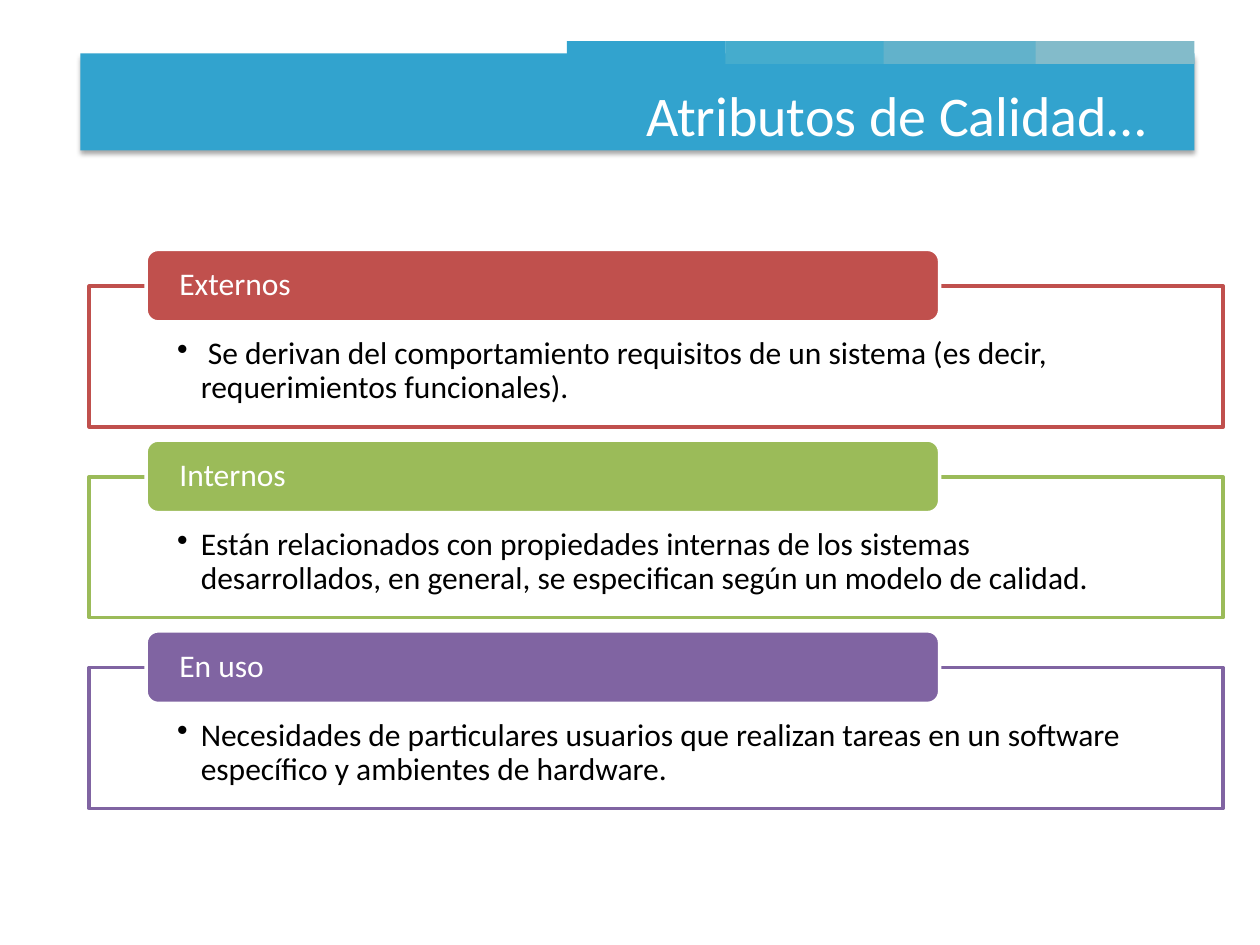
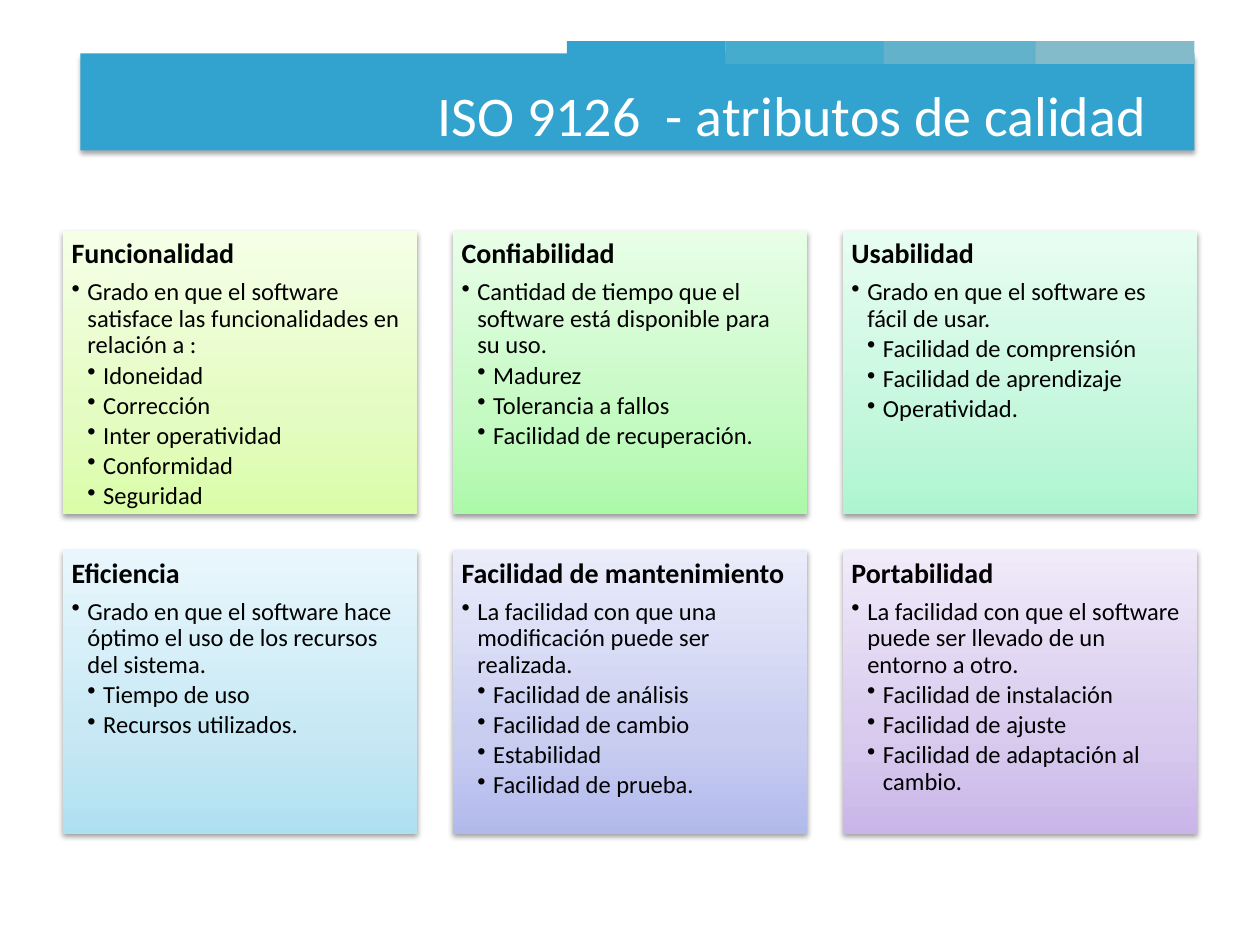
"""Build two slides on software quality attributes."""
import copy
from dataclasses import dataclass
from typing import Optional

import lxml.etree
import pptx
import pptx.dml.color
import pptx.enum.shapes
import pptx.enum.text
import pptx.oxml.ns
import pptx.shapes.autoshape
import pptx.slide
import pptx.text.text
import pptx.util

Pt = pptx.util.Pt
RGB = pptx.dml.color.RGBColor
Shape = pptx.shapes.autoshape.Shape
Slide = pptx.slide.Slide
Kind = pptx.enum.shapes.MSO_SHAPE
Align = pptx.enum.text.PP_ALIGN
Anchor = pptx.enum.text.MSO_ANCHOR
qn = pptx.oxml.ns.qn

FONT = "Calibri"
WHITE = RGB(0xFF, 0xFF, 0xFF)
BLACK = RGB(0x00, 0x00, 0x00)
BLUE = RGB(0x32, 0xA3, 0xCE)
RED = RGB(0xC0, 0x50, 0x4D)
GREEN = RGB(0x9B, 0xBB, 0x59)
PURPLE = RGB(0x80, 0x64, 0xA2)
TABS = (
    (324, BLUE),
    (414.5, RGB(0x45, 0xAC, 0xCD)),
    (505, RGB(0x62, 0xB2, 0xCB)),
    (591.8, RGB(0x83, 0xBB, 0xCA)),
)
LIME = (RGB(0xDA, 0xFD, 0xA7), RGB(0xE4, 0xFC, 0xC2), RGB(0xF5, 0xFF, 0xE7))
LEAF = (RGB(0xAC, 0xF9, 0xAA), RGB(0xC5, 0xFA, 0xC3), RGB(0xE8, 0xFE, 0xE7))
MINT = (RGB(0xAC, 0xF5, 0xD0), RGB(0xC5, 0xF7, 0xDD), RGB(0xE8, 0xFD, 0xF2))
SKY = (RGB(0xAF, 0xE0, 0xF1), RGB(0xC7, 0xE8, 0xF4), RGB(0xE9, 0xF7, 0xFC))
IRIS = (RGB(0xB2, 0xBA, 0xEC), RGB(0xC9, 0xCE, 0xF1), RGB(0xEA, 0xEC, 0xFA))
LILAC = (RGB(0xC9, 0xB5, 0xE8), RGB(0xD8, 0xCB, 0xEE), RGB(0xF0, 0xEA, 0xF9))
STOPS = (0, 0.35, 1)


@dataclass(frozen=True)
class Box:
    """A place on the slide, in points."""

    left: float
    top: float
    width: float
    height: float


@dataclass(frozen=True)
class Style:
    """The look of a paragraph, with lengths in points."""

    size: float
    color: RGB = BLACK
    bold: bool = False
    after: float = 0
    line: float = 0.9
    left: float = 0
    hang: float = 0
    level: int = 0
    align: Align = Align.LEFT


@dataclass(frozen=True)
class Panel:
    """A framed statement under a coloured bar."""

    name: str
    text: str
    color: RGB


@dataclass(frozen=True)
class Card:
    """A quality attribute with its measures."""

    name: str
    text: str
    items: tuple[str, ...]
    shades: tuple[RGB, RGB, RGB]


TITLE = Style(32, WHITE, line=1, align=Align.RIGHT)
LABEL = Style(18, WHITE)
CLAIM = Style(18, left=13.5, hang=13.5, level=1)
HEAD = Style(16, bold=True, after=5.6)
BODY = Style(14, after=2.1, left=9, hang=9, level=1)
ITEM = Style(14, after=2.1, left=18, hang=9, level=2)

PANELS = (
    Panel("Externos", " Se derivan del comportamiento requisitos de un sistema "
          "(es decir, requerimientos funcionales).", RED),
    Panel("Internos", "Están relacionados con propiedades internas de los sistemas "
          "desarrollados, en general, se especifican según un modelo de calidad.", GREEN),
    Panel("En uso", "Necesidades de particulares usuarios que realizan tareas en un "
          "software específico y ambientes de hardware.", PURPLE),
)
CARDS = (
    Card("Funcionalidad",
         "Grado en que el software satisface las funcionalidades en relación a :",
         ("Idoneidad", "Corrección", "Inter operatividad", "Conformidad", "Seguridad"),
         LIME),
    Card("Confiabilidad",
         "Cantidad de tiempo que el software está disponible para su uso.",
         ("Madurez", "Tolerancia a fallos", "Facilidad de recuperación."), LEAF),
    Card("Usabilidad", "Grado en que el software es fácil de usar.",
         ("Facilidad de comprensión", "Facilidad de aprendizaje", "Operatividad."), MINT),
    Card("Eficiencia",
         "Grado en que el software hace óptimo el uso de los recursos del sistema.",
         ("Tiempo de uso", "Recursos utilizados."), SKY),
    Card("Facilidad de mantenimiento",
         "La facilidad con que una modificación puede ser realizada.",
         ("Facilidad de análisis", "Facilidad de cambio", "Estabilidad",
          "Facilidad de prueba."), IRIS),
    Card("Portabilidad",
         "La facilidad con que el software puede ser llevado de un entorno a otro.",
         ("Facilidad de instalación", "Facilidad de ajuste",
          "Facilidad de adaptación al cambio."), LILAC),
)


def add_box(slide: Slide, box: Box, fill: RGB, line: Optional[RGB] = None,
            kind: Kind = Kind.RECTANGLE) -> Shape:
    """Draw a flat shape with an optional outline."""
    shape = slide.shapes.add_shape(
        kind, Pt(box.left), Pt(box.top), Pt(box.width), Pt(box.height))
    shape.shadow.inherit = False
    shape.fill.solid()
    shape.fill.fore_color.rgb = fill
    if line is None:
        shape.line.fill.background()
    else:
        shape.line.color.rgb = line
        shape.line.width = Pt(2)
    return shape


def add_shade(shape: Shape, alpha: int, dist: float) -> None:
    """Cast a soft shadow straight down."""
    effects = shape._element.spPr.find(qn("a:effectLst"))
    outer = lxml.etree.SubElement(
        effects, qn("a:outerShdw"), blurRad=str(Pt(3.1)), dist=str(Pt(dist)),
        dir="5400000", rotWithShape="0")
    color = lxml.etree.SubElement(outer, qn("a:srgbClr"), val=str(BLACK))
    lxml.etree.SubElement(color, qn("a:alpha"), val=str(alpha * 1000))


def blend(shape: Shape, shades: tuple[RGB, RGB, RGB]) -> None:
    """Fill a shape with three shades from bottom to top."""
    shape.fill.gradient()
    shape.fill.gradient_angle = 90
    stops = shape._element.spPr.find(".//" + qn("a:gsLst"))
    stops.append(copy.deepcopy(stops[0]))
    for stop, place, shade in zip(shape.fill.gradient_stops, STOPS, shades):
        stop.position = place
        stop.color.rgb = shade


def set_frame(shape: Shape, left: float, top: float, right: float, base: float,
              anchor: Anchor = Anchor.TOP) -> pptx.text.text.TextFrame:
    """Set the insets and anchor of a text frame."""
    frame = shape.text_frame
    frame.word_wrap = True
    frame.vertical_anchor = anchor
    frame.margin_left, frame.margin_right = Pt(left), Pt(right)
    frame.margin_top, frame.margin_bottom = Pt(top), Pt(base)
    return frame


def write(frame: pptx.text.text.TextFrame, *lines: tuple[str, Style]) -> None:
    """Write one styled paragraph for each line."""
    for index, (text, style) in enumerate(lines):
        para = frame.add_paragraph() if index else frame.paragraphs[0]
        if style.hang:
            props = para._p.get_or_add_pPr()
            props.set("marL", str(Pt(style.left)))
            props.set("indent", str(Pt(-style.hang)))
            lxml.etree.SubElement(props, qn("a:buChar"), char="•")
        para.level = style.level
        para.alignment = style.align
        para.line_spacing = style.line
        para.space_after = Pt(style.after)
        run = para.add_run()
        run.text = text
        run.font.name = FONT
        run.font.size = Pt(style.size)
        run.font.bold = style.bold
        run.font.color.rgb = style.color


def add_page(deck: pptx.presentation.Presentation, title: str) -> Slide:
    """Add a blank slide with the shared band and title."""
    slide = deck.slides.add_slide(deck.slide_layouts[6])
    add_shade(add_box(slide, Box(46, 30.5, 636.5, 55.5), BLUE), 35, 1.8)
    for left, color in TABS:
        add_box(slide, Box(left, 23.5, 90.7, 13), color)
    label = slide.shapes.add_textbox(Pt(105), Pt(42.5), Pt(557.3), Pt(46))
    write(set_frame(label, 7.2, 3.6, 7.2, 3.6), (title, TITLE))
    return slide


def add_panel(slide: Slide, panel: Panel, top: float) -> None:
    """Draw a frame with its text and the bar on its edge."""
    frame = add_box(slide, Box(51, top + 21, 648, 80.5), WHITE, panel.color)
    write(set_frame(frame, 50.3, 29.5, 50.3, 10), (panel.text, CLAIM))
    bar = add_box(slide, Box(83.5, top, 453.5, 41.5), panel.color, WHITE,
                  Kind.ROUNDED_RECTANGLE)
    write(set_frame(bar, 17, 0, 17, 0, Anchor.MIDDLE), (panel.name, LABEL))


def add_card(slide: Slide, card: Card, box: Box) -> None:
    """Draw a shaded card with a heading and bullets."""
    shape = add_box(slide, box, WHITE)
    blend(shape, card.shades)
    add_shade(shape, 38, 1.6)
    write(set_frame(shape, 5, 5, 5, 5), (card.name, HEAD), (card.text, BODY),
          *((item, ITEM) for item in card.items))


def main() -> None:
    """Build and save the deck."""
    deck = pptx.Presentation()
    deck.slide_width, deck.slide_height = Pt(720), Pt(540)
    kinds = add_page(deck, "Atributos de Calidad…")
    for index, panel in enumerate(PANELS):
        add_panel(kinds, panel, 142.5 + 109 * index)
    norm = add_page(deck, "ISO 9126  - atributos de calidad")
    for index, card in enumerate(CARDS):
        row, col = divmod(index, 3)
        add_card(norm, card, Box(36 + 222.8 * col, 132 + 182.5 * row, 202.4, 162))
    deck.save("out.pptx")


if __name__ == "__main__":
    main()
